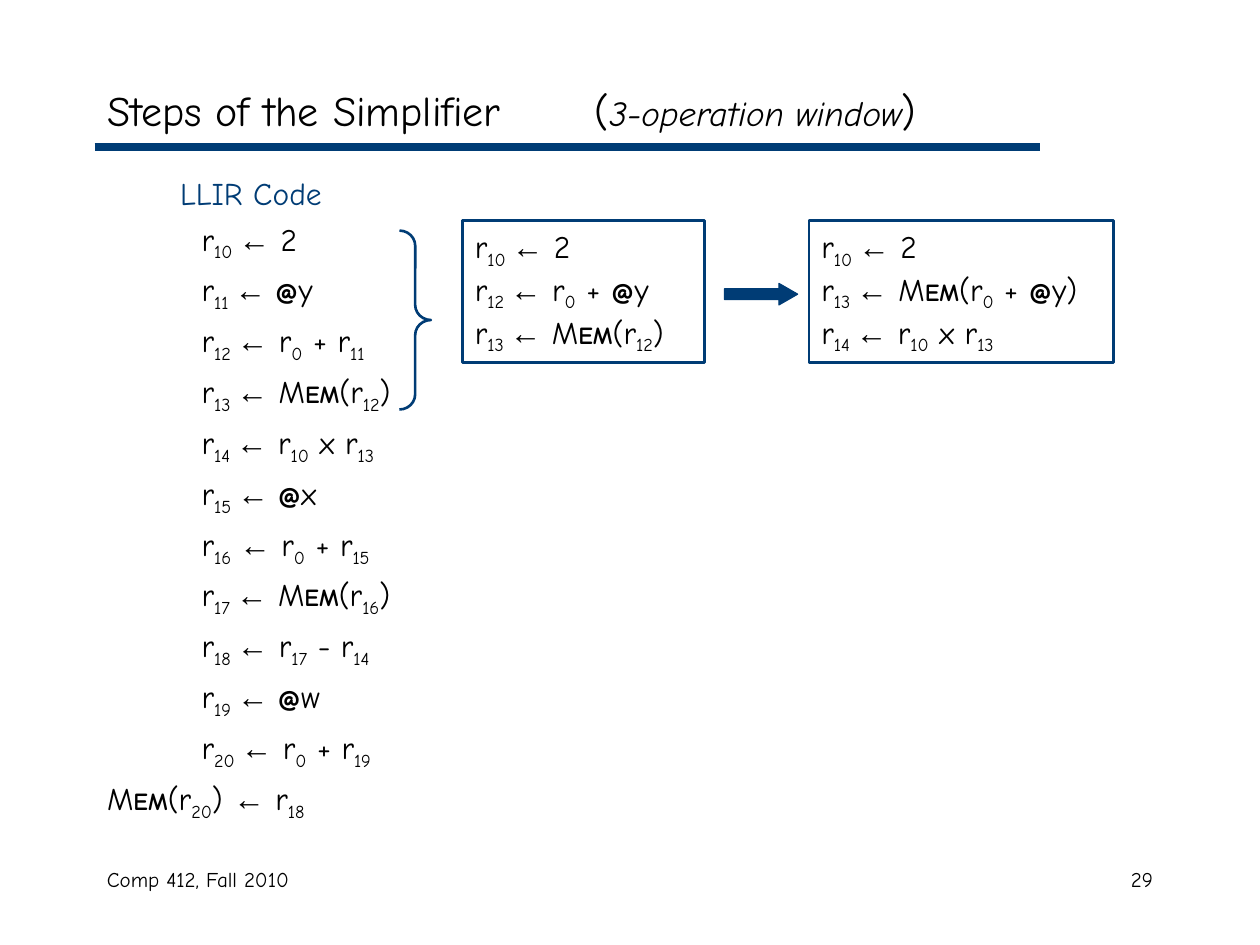
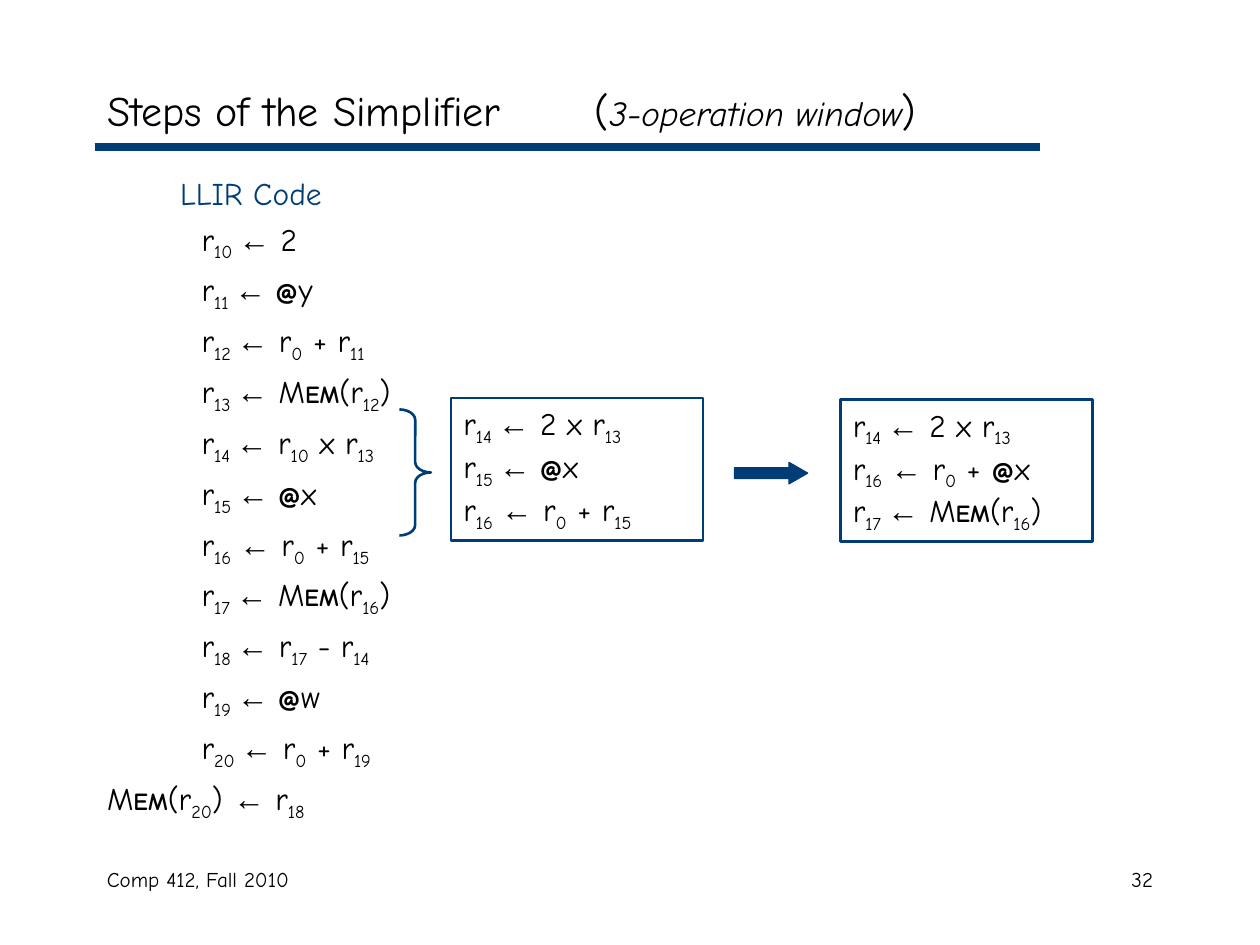
from dataclasses import dataclass

from lxml import etree
from pptx import Presentation
from pptx import util as u
from pptx.dml.color import RGBColor
from pptx.enum import shapes, text
from pptx.oxml import ns


@dataclass(frozen=True)
class Theme:
    font: str = "Comic Neue"
    arrow_font: str = "Arial"
    navy: RGBColor = RGBColor(0x00, 0x3C, 0x75)
    black: RGBColor = RGBColor(0, 0, 0)
    title: int = 24
    subtitle: int = 20
    code: int = 18
    at_sign: int = 16
    small_caps: int = 14
    footer: int = 12


THEME = Theme()
CODE_INDENT = 0.75
HEADING_INDENT = 0.58

LLIR_CODE = [
    "r|_10 |←| 2",
    "r|_11 |← |@|y",
    "r|_12 |←| r|_0| + r|_11",
    "r|_13 |←| M|EM|(r|_12|)",
    "r|_14 |←| r|_10| x r|_13",
    "r|_15 |← |@|x",
    "r|_16| |←| r|_0| + r|_15",
    "r|_17 |←| M|EM|(r|_16|)",
    "r|_18 |←| r|_17| - r|_14",
    "r|_19 |← |@|w",
    "r|_20 |←| r|_0| + r|_19",
]
FINAL_STORE = "M|EM|(r|_20|) |←| r|_18"

STEPS = [
    dict(
        number="29",
        brace=(3.17, 1.83, 0.25, 1.42),
        brace_curve=0.48,
        arrow=(5.75, 2.25, 0.58, 0.17),
        windows=[
            ((3.67, 1.75, 1.92, 1.13),
             ["r|_10 |←| 2", "r|_12 |←| r|_0| + |@|y", "r|_13 |←| M|EM|(r|_12|)"]),
            ((6.42, 1.75, 2.42, 1.13),
             ["r|_10 |←| 2", "r|_13 |←| M|EM|(r|_0| + |@|y)", "r|_14 |←| r|_10| x r|_13"]),
        ],
    ),
    dict(
        number="32",
        brace=(3.17, 3.25, 0.25, 1),
        brace_curve=0.33,
        arrow=(5.83, 3.67, 0.58, 0.17),
        windows=[
            ((3.58, 3.16, 2, 1.13),
             ["r|_14 |←| 2 x r|_13", "r|_15 |← |@|x", "r|_16| |←| r|_0| + r|_15"]),
            ((6.67, 3.17, 2, 1.13),
             ["r|_14 |←| 2 x r|_13", "r|_16| |←| r|_0| + |@|x", "r|_17 |←| M|EM|(r|_16|)"]),
        ],
    ),
]


def inches(box):
    return [u.Inches(value) for value in box]


def place(shape, box):
    shape.left, shape.top, shape.width, shape.height = inches(box)


def prepare_frame(shape, anchor=text.MSO_ANCHOR.TOP):
    frame = shape.text_frame
    frame.word_wrap = True
    frame.auto_size = text.MSO_AUTO_SIZE.NONE
    frame.vertical_anchor = anchor
    return frame


def next_paragraph(frame, index):
    return frame.paragraphs[0] if index == 0 else frame.add_paragraph()


def style_font(font, size, color=THEME.black):
    font.name = THEME.font
    font.size = u.Pt(size)
    font.color.rgb = color


def add_run(paragraph, content, size):
    run = paragraph.add_run()
    run.text = content
    style_font(run.font, size)
    return run


def add_code(paragraph, markup):
    paragraph.alignment = text.PP_ALIGN.LEFT
    for piece in markup.split("|"):
        size = {"@": THEME.at_sign, "EM": THEME.small_caps, " ": THEME.small_caps}.get(piece, THEME.code)
        run = add_run(paragraph, piece.removeprefix("_"), size)
        if piece.startswith("_"):
            run.font._element.set("baseline", "-25000")
        if piece.startswith("←"):
            run.font.name = THEME.arrow_font
        if piece in ("@", "EM"):
            run.font.bold = True


def set_indent(paragraph, indent):
    properties = paragraph._p.get_or_add_pPr()
    properties.set("marL", str(u.Inches(indent)))
    properties.set("indent", "0")
    etree.SubElement(properties, ns.qn("a:buNone"))


def add_title(slide):
    title = slide.shapes.title
    place(title, (0.75, 0.58, 8.5, 0.58))
    paragraph = prepare_frame(title, text.MSO_ANCHOR.MIDDLE).paragraphs[0]
    paragraph.alignment = text.PP_ALIGN.LEFT
    tabs = etree.SubElement(paragraph._p.get_or_add_pPr(), ns.qn("a:tabLst"))
    etree.SubElement(tabs, ns.qn("a:tab"), pos=str(u.Inches(3.87)), algn="l")
    add_run(paragraph, "Steps of the Simplifier\t(", THEME.title)
    add_run(paragraph, "3-operation window", THEME.subtitle).font.italic = True
    add_run(paragraph, ")", THEME.title)


def add_title_rule(slide):
    rule = slide.shapes.add_connector(
        shapes.MSO_CONNECTOR.STRAIGHT, *inches((0.75, 1.17, 8.25, 1.17)))
    rule.line.color.rgb = THEME.navy
    rule.line.width = u.Pt(4.5)
    etree.SubElement(rule._element.spPr, ns.qn("a:effectLst"))


def add_listing(slide):
    body = slide.placeholders[1]
    place(body, (0.75, 1.33, 2.83, 5.25))
    frame = prepare_frame(body)
    heading = frame.paragraphs[0]
    heading.text = "LLIR Code"
    set_indent(heading, HEADING_INDENT)
    heading.space_before = u.Pt(0)
    style_font(heading.font, THEME.code, THEME.navy)
    for markup in LLIR_CODE + [FINAL_STORE]:
        paragraph = frame.add_paragraph()
        set_indent(paragraph, 0 if markup == FINAL_STORE else CODE_INDENT)
        paragraph.space_before = u.Pt(4.5)
        add_code(paragraph, markup)


def add_outlined_shape(slide, kind, box, width):
    shape = slide.shapes.add_shape(kind, *inches(box))
    shape.shadow.inherit = False
    shape.fill.background()
    shape.line.color.rgb = THEME.navy
    shape.line.width = u.Pt(width)
    return shape


def add_brace(slide, box, curve):
    brace = add_outlined_shape(slide, shapes.MSO_SHAPE.RIGHT_BRACE, box, 1.5)
    brace.adjustments[0] = curve


def add_window(slide, box, lines):
    frame = prepare_frame(add_outlined_shape(slide, shapes.MSO_SHAPE.RECTANGLE, box, 1.5))
    for index, markup in enumerate(lines):
        add_code(next_paragraph(frame, index), markup)


def add_arrow(slide, box):
    arrow = add_outlined_shape(slide, shapes.MSO_SHAPE.RIGHT_ARROW, box, 0.75)
    arrow.fill.solid()
    arrow.fill.fore_color.rgb = THEME.navy
    arrow.adjustments[1] = 0.87


def add_footer(slide, box, content, alignment):
    paragraph = prepare_frame(slide.shapes.add_textbox(*inches(box))).paragraphs[0]
    paragraph.text = content
    paragraph.alignment = alignment
    style_font(paragraph.font, THEME.footer)


def add_step(presentation, step):
    slide = presentation.slides.add_slide(presentation.slide_layouts[1])
    add_title_rule(slide)
    add_title(slide)
    add_listing(slide)
    add_brace(slide, step["brace"], step["brace_curve"])
    add_arrow(slide, step["arrow"])
    for box, lines in step["windows"]:
        add_window(slide, box, lines)
    add_footer(slide, (0.75, 6.83, 3.17, 0.5), "Comp 412, Fall 2010", text.PP_ALIGN.LEFT)
    add_footer(slide, (7.17, 6.83, 2.08, 0.5), step["number"], text.PP_ALIGN.RIGHT)


def main():
    presentation = Presentation()
    presentation.slide_width = u.Inches(10)
    presentation.slide_height = u.Inches(7.5)
    for step in STEPS:
        add_step(presentation, step)
    presentation.save("out.pptx")


if __name__ == "__main__":
    main()
